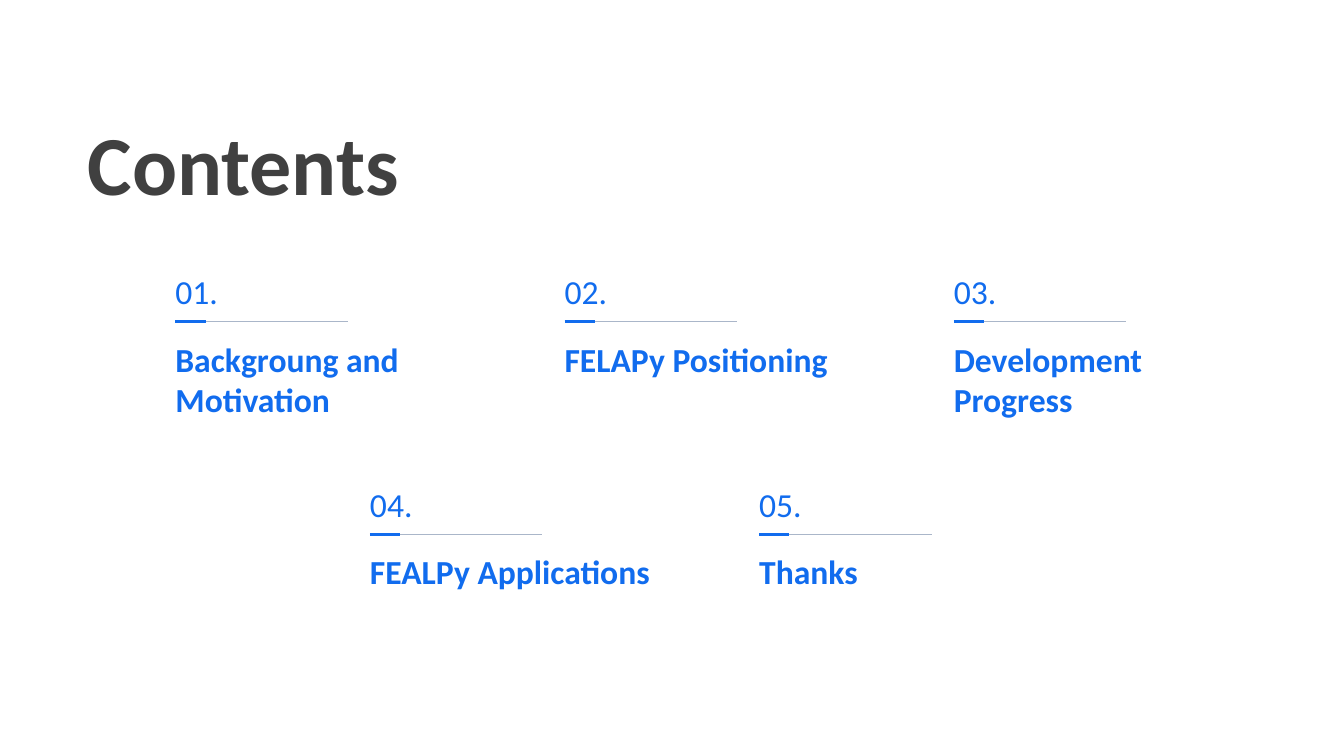
import pptx
import pptx.dml.color
import pptx.enum.shapes
import pptx.enum.text
import pptx.oxml.ns
import pptx.util


class ContentsPage:
    """Draws a contents slide on a grid of half-step columns and entry rows."""

    COLORS = {"title": "404040", "accent": "116CEE", "rule": "AAB6C9"}
    FONT = "Calibri"
    LEFT, TOP = 1.74, 2.66
    COLUMN, ROW = 1.93, 2.11

    def __init__(self, deck):
        self.page = deck.slides.add_slide(deck.slide_layouts[5])

    def color(self, name):
        return pptx.dml.color.RGBColor.from_string(self.COLORS[name])

    def place(self, column, row):
        return self.LEFT + column * self.COLUMN, self.TOP + row * self.ROW

    def fill_text(self, box, lines, size, color, bold, anchor):
        frame = box.text_frame
        frame.text = "\n".join(lines)
        frame.word_wrap = True
        frame.auto_size = pptx.enum.text.MSO_AUTO_SIZE.NONE
        frame.vertical_anchor = anchor
        frame.margin_left = frame.margin_right = 0
        frame.margin_top = frame.margin_bottom = 0
        for para in frame.paragraphs:
            para.alignment = pptx.enum.text.PP_ALIGN.LEFT
            para.font.name = self.FONT
            para.font.size = pptx.util.Pt(size)
            para.font.bold = bold
            para.font.color.rgb = self.color(color)

    def title(self, text):
        box = self.page.shapes.title
        box.left, box.top = pptx.util.Inches(0.87), pptx.util.Inches(0.95)
        box.width, box.height = pptx.util.Inches(3.67), pptx.util.Inches(1.16)
        self.fill_text(box, [text], 60, "title", True,
                       pptx.enum.text.MSO_ANCHOR.BOTTOM)

    def text(self, left, top, width, height, lines, bold, anchor):
        area = map(pptx.util.Inches, (left, top, width, height))
        box = self.page.shapes.add_textbox(*area)
        self.fill_text(box, lines, 24, "accent", bold, anchor)

    def rule(self, left, top, length, color, weight):
        ends = map(pptx.util.Inches, (left, top, left + length, top))
        line = self.page.shapes.add_connector(
            pptx.enum.shapes.MSO_CONNECTOR.STRAIGHT, *ends)
        line.line.color.rgb = self.color(color)
        line.line.width = pptx.util.Pt(weight)
        properties = line._element.spPr
        properties.append(properties.makeelement(pptx.oxml.ns.qn("a:effectLst"), {}))

    def entry(self, number, column, row, lines):
        left, top = self.place(column, row)
        self.rule(left, top + 0.53, 1.71, "rule", 0.75)
        self.rule(left, top + 0.53, 0.3, "accent", 2.25)
        self.text(left, top, 0.86, 0.43, [f"{number:02d}."], False,
                  pptx.enum.text.MSO_ANCHOR.BOTTOM)
        self.text(left, top + 0.7, 2.8, 1.33, lines, True,
                  pptx.enum.text.MSO_ANCHOR.TOP)


ENTRIES = [
    (0, 0, ["Backgroung and", "Motivation"]),
    (2, 0, ["FELAPy Positioning"]),
    (4, 0, ["Development", "Progress"]),
    (1, 1, ["FEALPy Applications"]),
    (3, 1, ["Thanks"]),
]


def main():
    deck = pptx.Presentation()
    deck.slide_width = pptx.util.Inches(13.33)
    deck.slide_height = pptx.util.Inches(7.5)
    contents = ContentsPage(deck)
    contents.title("Contents")
    for number, (column, row, lines) in enumerate(ENTRIES, start=1):
        contents.entry(number, column, row, lines)
    deck.save("out.pptx")


if __name__ == "__main__":
    main()
